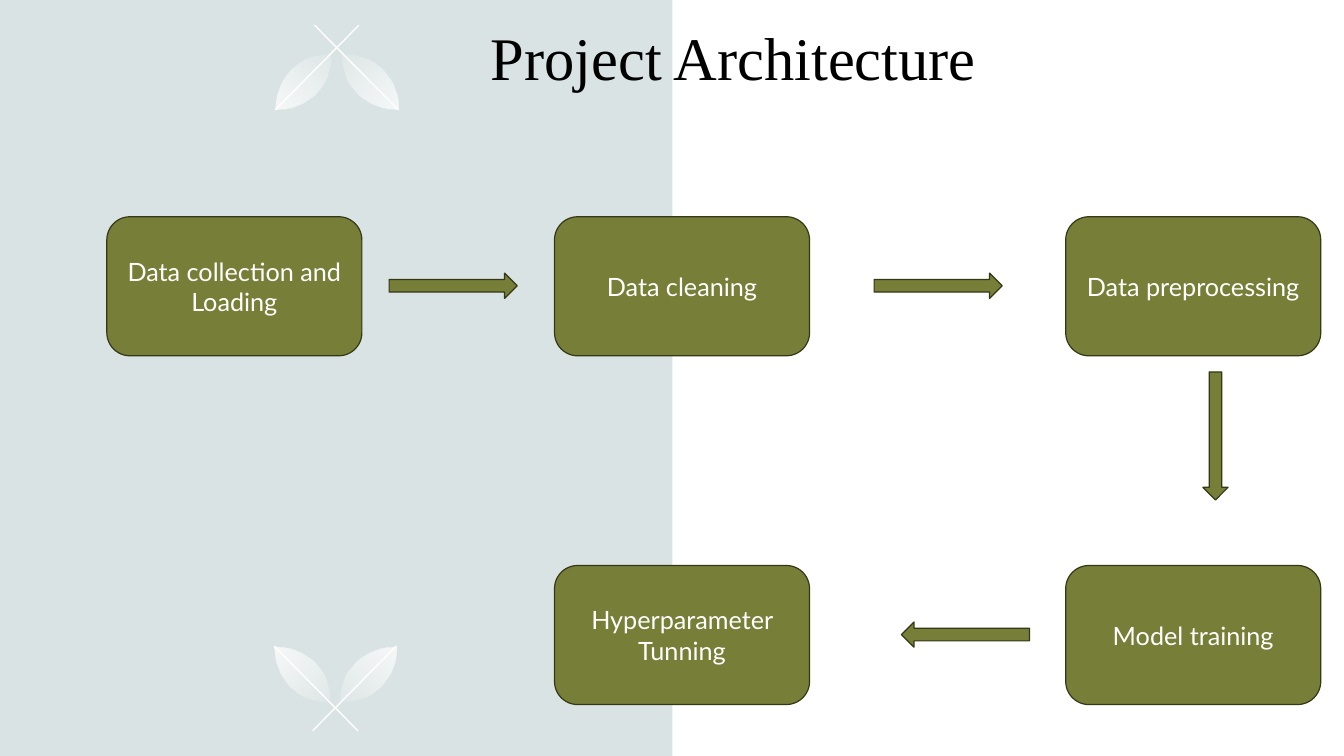
"""Build the project architecture slide."""
from dataclasses import dataclass
from math import atan2, degrees

from lxml import etree
from pptx import Presentation
from pptx.dml.color import RGBColor
from pptx.enum.shapes import MSO_CONNECTOR, MSO_SHAPE
from pptx.enum.text import MSO_ANCHOR, PP_ALIGN
from pptx.oxml.ns import qn
from pptx.util import Pt

RECT = MSO_SHAPE.RECTANGLE
ROUND = MSO_SHAPE.ROUNDED_RECTANGLE
ARROW = MSO_SHAPE.RIGHT_ARROW
LINE = MSO_CONNECTOR.STRAIGHT
MIDDLE = MSO_ANCHOR.MIDDLE
CENTER = PP_ALIGN.CENTER

SCALE = 9144
WIDE, HIGH = 1333, 750
MIST, WHITE, BLACK = "DAE3E3", "FFFFFF", "000000"
OLIVE, EDGE = "767E37", "343718"
RIM = ((0, 0), (14, 0), (29, 5), (40, 16), (51, 26), (55, 41), (55, 55))


@dataclass
class Box:
    text: str
    left: int
    top: int


@dataclass
class Arrow:
    left: int
    top: int
    turn: int = 0


@dataclass
class Leaf:
    left: int
    top: int
    across: int
    down: int


BOXES = [
    Box("Data collection and Loading", 106, 215),
    Box("Data cleaning", 550, 215),
    Box("Data preprocessing", 1057, 215),
    Box("Model training", 1057, 561),
    Box("Hyperparameter Tunning", 550, 561),
]
ARROWS = [
    Arrow(386, 271),
    Arrow(867, 271),
    Arrow(1142, 420, 90),
    Arrow(894, 617, 180),
]
LEAVES = [
    Leaf(393, 641, -1, 1),
    Leaf(272, 641, 1, 1),
    Leaf(273, 109, 1, -1),
    Leaf(395, 109, -1, -1),
]


def px(size: int) -> int:
    return size * SCALE


def color(code: str) -> RGBColor:
    return RGBColor.from_string(code)


def paint(shape, fill: str, edge: str = "") -> None:
    shape.shadow.inherit = False
    shape.fill.solid()
    shape.fill.fore_color.rgb = color(fill)
    if edge:
        shape.line.color.rgb = color(edge)
        shape.line.width = Pt(0.85)
    else:
        shape.line.fill.background()


def write(shape, text: str, size: float, face: str, ink: str) -> None:
    frame = shape.text_frame
    frame.word_wrap = True
    frame.vertical_anchor = MIDDLE
    frame.text = text
    para = frame.paragraphs[0]
    para.alignment = CENTER
    para.font.size = Pt(size)
    para.font.name = face
    para.font.color.rgb = color(ink)


def add_box(shapes, box: Box) -> None:
    shape = shapes.add_shape(ROUND, px(box.left), px(box.top), px(253), px(138))
    paint(shape, OLIVE, EDGE)
    write(shape, box.text, 18, "Lato", WHITE)


def add_arrow(shapes, arrow: Arrow) -> None:
    shape = shapes.add_shape(ARROW, px(arrow.left), px(arrow.top), px(127), px(25))
    shape.rotation = arrow.turn
    paint(shape, OLIVE, EDGE)


def curve(shape) -> None:
    """Turn each three straight segments into one cubic curve."""
    lines = list(shape.element.iter(qn("a:lnTo")))
    for i in range(0, len(lines), 3):
        cubic = etree.Element(qn("a:cubicBezTo"))
        lines[i].addprevious(cubic)
        for line in lines[i:i + 3]:
            cubic.append(line[0])
            line.getparent().remove(line)


def add_half(shapes, leaf: Leaf, swap: bool, fade: int) -> None:
    rim = [(y, x) for x, y in RIM] if swap else RIM
    points = [(px(leaf.left + leaf.across * x), px(leaf.top + leaf.down * y))
              for x, y in rim]
    maker = shapes.build_freeform(*points[0])
    maker.add_line_segments(points[1:], close=False)
    half = maker.convert_to_shape()
    curve(half)
    paint(half, WHITE)
    half.fill.gradient()
    half.fill.gradient_angle = degrees(atan2(-leaf.down, leaf.across)) % 360
    for stop in half.fill.gradient_stops:
        stop.color.rgb = color(WHITE)
    for tint, alpha in zip(half.element.iter(qn("a:srgbClr")), (80, fade)):
        etree.SubElement(tint, qn("a:alpha")).set("val", str(alpha * 1000))


def add_leaf(shapes, leaf: Leaf) -> None:
    add_half(shapes, leaf, False, 20)
    add_half(shapes, leaf, True, 10)
    stem = shapes.add_connector(
        LINE, px(leaf.left), px(leaf.top),
        px(leaf.left + 83 * leaf.across), px(leaf.top + 84 * leaf.down))
    stem.line.color.rgb = color(WHITE)
    stem.line.width = Pt(1)
    etree.SubElement(stem.element.spPr, qn("a:effectLst"))


def main() -> None:
    deck = Presentation()
    deck.slide_width, deck.slide_height = px(WIDE), px(HIGH)
    slide = deck.slides.add_slide(deck.slide_layouts[5])
    slide.background.fill.solid()
    slide.background.fill.fore_color.rgb = color(MIST)
    shapes = slide.shapes
    panel = shapes.add_shape(RECT, px(667), 0, px(WIDE - 667), px(HIGH))
    paint(panel, WHITE)
    for leaf in LEAVES:
        add_leaf(shapes, leaf)
    title = shapes.title
    shapes.element.append(title.element)
    title.left, title.top = px(77), px(22)
    title.width, title.height = px(1301), px(67)
    write(title, "Project Architecture", 43.2, "Times New Roman", BLACK)
    for box in BOXES:
        add_box(shapes, box)
    for arrow in ARROWS:
        add_arrow(shapes, arrow)
    deck.save("out.pptx")


if __name__ == "__main__":
    main()
